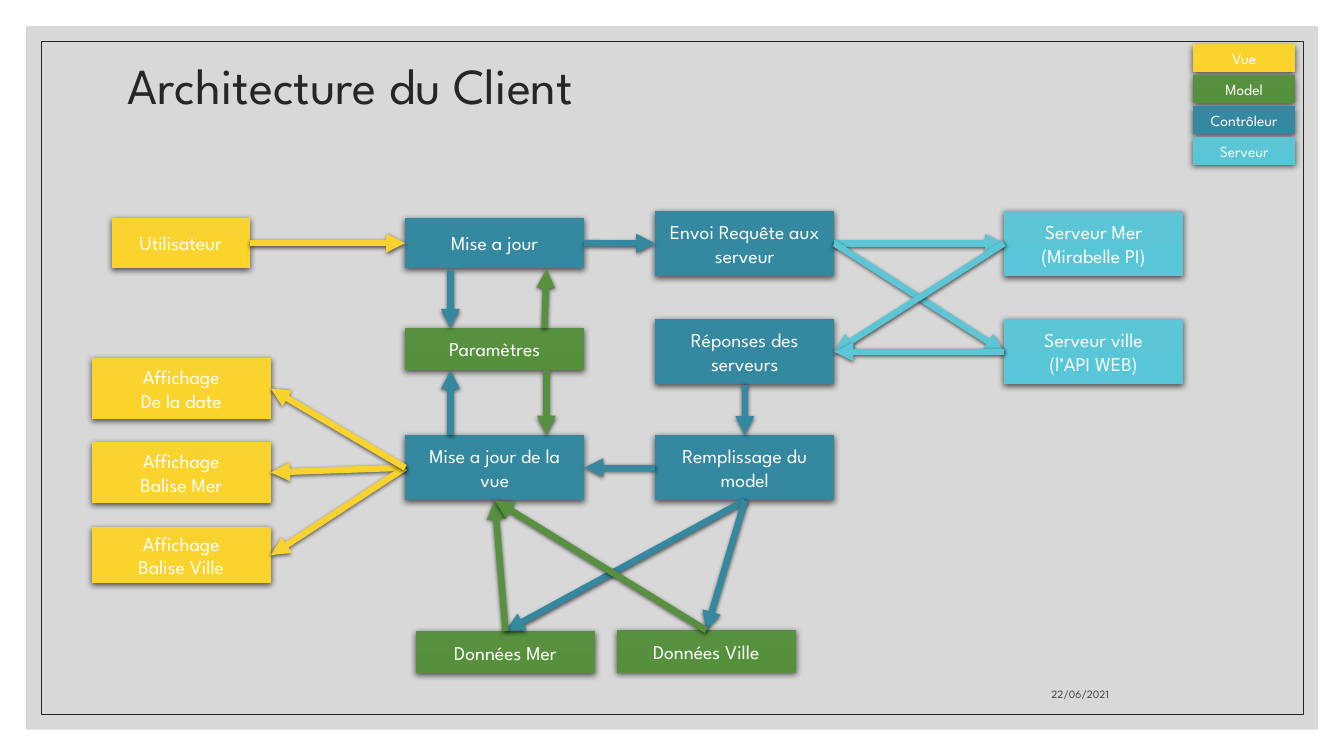
import pptx
import pptx.util
import pptx.dml.color
import pptx.enum.shapes
import pptx.enum.text
import pptx.oxml
import pptx.oxml.ns
from lxml import etree

Cm, Pt = pptx.util.Cm, pptx.util.Pt
RGBColor = pptx.dml.color.RGBColor
MSO_SHAPE = pptx.enum.shapes.MSO_SHAPE
MSO_CONNECTOR = pptx.enum.shapes.MSO_CONNECTOR
MSO_ANCHOR = pptx.enum.text.MSO_ANCHOR
PP_ALIGN = pptx.enum.text.PP_ALIGN
qn = pptx.oxml.ns.qn

FONT = "League Spartan"
WHITE = RGBColor(0xFF, 0xFF, 0xFF)
GREY = RGBColor(0xBF, 0xBF, 0xBF)
INK = RGBColor(0x26, 0x26, 0x26)
DATE_INK = RGBColor(0x40, 0x40, 0x40)
# Each role runs from a top colour to a bottom colour
VUE = (RGBColor(0xF8, 0xD2, 0x2F), RGBColor(0xFB, 0xD3, 0x2A))
MODEL = (RGBColor(0x57, 0x90, 0x3F), RGBColor(0x55, 0x91, 0x3C))
CONTROLEUR = (RGBColor(0x34, 0x88, 0xA0), RGBColor(0x31, 0x88, 0xA1))
SERVEUR = (RGBColor(0x5C, 0xC6, 0xD6), RGBColor(0x58, 0xC6, 0xD7))
TOP, LEFT, BOTTOM, RIGHT = range(4)


def write(sp, text, size, color, align, anchor):
    tf = sp.text_frame
    tf.word_wrap = True
    tf.vertical_anchor = anchor
    tf.text = text
    for p in tf.paragraphs:
        p.alignment = align
        for name, value in {"name": FONT, "size": Pt(size)}.items():
            setattr(p.runs[0].font, name, value)
        p.runs[0].font.color.rgb = color


def add_shadow(sp, blur, distance):
    """Drop a soft black shadow straight below; lengths in points."""
    effects = etree.SubElement(sp.element.spPr, qn("a:effectLst"))
    shadow = etree.SubElement(effects, qn("a:outerShdw"), blurRad=str(Pt(blur)),
                              dist=str(Pt(distance)), dir="5400000",
                              algn="ctr", rotWithShape="0")
    black = etree.SubElement(shadow, qn("a:srgbClr"), val="000000")
    etree.SubElement(black, qn("a:alpha"), val="63000")


prs = pptx.Presentation()
prs.slide_width, prs.slide_height = Cm(33.87), Cm(19.05)
s = prs.slides.add_slide(prs.slide_layouts[5])

# Background panel and frame
panel = s.shapes.add_shape(MSO_SHAPE.RECTANGLE, Cm(0.66), Cm(0.66), Cm(32.56), Cm(17.73))
panel.shadow.inherit = False
panel.fill.solid()
panel.fill.fore_color.rgb = GREY
etree.SubElement(panel.element.spPr.find(".//" + qn("a:srgbClr")), qn("a:alpha"), val="60000")
panel.line.fill.background()
frame = s.shapes.add_shape(MSO_SHAPE.RECTANGLE, Cm(1.04), Cm(1.04), Cm(31.8), Cm(16.97))
frame.shadow.inherit = False
frame.fill.background()
frame.line.color.rgb = INK
frame.line.width = Pt(0.5)

# Title, brought in front of the panel, and date
title = s.shapes.title
s.shapes.element.append(title.element)
title.left, title.top, title.width, title.height = Cm(2.97), Cm(1.5), Cm(27.94), Cm(1.45)
write(title, "Architecture du Client", 36, INK, PP_ALIGN.LEFT, MSO_ANCHOR.MIDDLE)
title.text_frame.paragraphs[0].line_spacing = 0.9
date = s.shapes.add_textbox(Cm(20.17), Cm(16.76), Cm(8.03), Cm(1.02))
write(date, "22/06/2021", 8, DATE_INK, PP_ALIGN.RIGHT, MSO_ANCHOR.BOTTOM)

# Boxes: key, text, role, left, top, width, height (cm), text size
W, LOW, TALL = 4.52, 1.07, 1.65
VIEW_X, UPDATE_X, REQUEST_X, SERVER_X = 2.31, 10.21, 16.51, 25.3
boxes = [
    ("utilisateur", "Utilisateur", VUE, 2.82, 5.49, 3.48, 1.27, 14),
    ("date", "Affichage\nDe la date", VUE, VIEW_X, 9.02, W, 1.55, 14),
    ("balise mer", "Affichage\nBalise Mer", VUE, VIEW_X, 11.13, W, 1.55, 14),
    ("balise ville", "Affichage\nBalise Ville", VUE, VIEW_X, 13.28, W, 1.42, 14),
    ("maj", "Mise a jour", CONTROLEUR, UPDATE_X, 5.49, W, 1.27, 14),
    ("parametres", "Paramètres", MODEL, UPDATE_X, 8.26, W, LOW, 14),
    ("maj vue", "Mise a jour de la vue", CONTROLEUR, UPDATE_X, 10.96, W, TALL, 14),
    ("envoi", "Envoi Requête aux serveur", CONTROLEUR, REQUEST_X, 5.31, W, TALL, 14),
    ("reponses", "Réponses des serveurs", CONTROLEUR, REQUEST_X, 8.04, W, TALL, 14),
    ("remplissage", "Remplissage du model", CONTROLEUR, REQUEST_X, 10.96, W, TALL, 14),
    ("serveur mer", "Serveur Mer (Mirabelle PI)", SERVEUR, SERVER_X, 5.31, W, TALL, 14),
    ("serveur ville", "Serveur ville\n(l’API WEB)", SERVEUR, SERVER_X, 8.04, W, TALL, 14),
    ("donnees mer", "Données Mer", MODEL, 10.48, 15.9, W, LOW, 14),
    ("donnees ville", "Données Ville", MODEL, 15.54, 15.88, W, LOW, 14),
]
legend = [("Vue", VUE), ("Model", MODEL), ("Contrôleur", CONTROLEUR), ("Serveur", SERVEUR)]
for i, (label, role) in enumerate(legend):
    boxes.append((label, label, role, 30.07, 1.12 + 0.78 * i, 2.57, 0.69, 11))

nodes = {}
for key, text, role, x, y, w, h, size in boxes:
    sp = s.shapes.add_shape(MSO_SHAPE.RECTANGLE, Cm(x), Cm(y), Cm(w), Cm(h))
    sp.fill.gradient()
    sp.fill.gradient_angle = 270
    for stop, color in zip(sp.fill.gradient_stops, role):
        stop.color.rgb = color
    sp.line.fill.background()
    add_shadow(sp, 4.5, 1.5)
    write(sp, text, size, WHITE, PP_ALIGN.CENTER, MSO_ANCHOR.MIDDLE)
    nodes[key] = sp

# Arrows glued to the sides of two boxes
links = [
    ("envoi", RIGHT, "serveur mer", LEFT, SERVEUR),
    ("envoi", RIGHT, "serveur ville", LEFT, SERVEUR),
    ("serveur mer", LEFT, "reponses", RIGHT, SERVEUR),
    ("serveur ville", LEFT, "reponses", RIGHT, SERVEUR),
    ("utilisateur", RIGHT, "maj", LEFT, VUE),
    ("maj", RIGHT, "envoi", LEFT, CONTROLEUR),
    ("reponses", BOTTOM, "remplissage", TOP, CONTROLEUR),
    ("remplissage", LEFT, "maj vue", RIGHT, CONTROLEUR),
    ("remplissage", BOTTOM, "donnees mer", TOP, CONTROLEUR),
    ("remplissage", BOTTOM, "donnees ville", TOP, CONTROLEUR),
    ("maj vue", LEFT, "balise mer", RIGHT, VUE),
    ("maj vue", LEFT, "balise ville", RIGHT, VUE),
    ("maj vue", LEFT, "date", RIGHT, VUE),
    ("donnees mer", TOP, "maj vue", BOTTOM, MODEL),
    ("donnees ville", TOP, "maj vue", BOTTOM, MODEL),
]
arrows = []
for start, start_side, end, end_side, role in links:
    c = s.shapes.add_connector(MSO_CONNECTOR.STRAIGHT, 0, 0, 0, 0)
    c.begin_connect(nodes[start], start_side)
    c.end_connect(nodes[end], end_side)
    arrows.append((c, role))

# Arrows above and below Paramètres, off the middle of the boxes
for x1, y1, x2, y2, role in [
    (11.35, 6.81, 11.35, 8.26, CONTROLEUR),
    (13.72, 8.26, 13.77, 6.78, MODEL),
    (11.35, 10.95, 11.35, 9.33, CONTROLEUR),
    (13.77, 9.33, 13.77, 10.95, MODEL),
]:
    c = s.shapes.add_connector(MSO_CONNECTOR.STRAIGHT, Cm(x1), Cm(y1), Cm(x2), Cm(y2))
    arrows.append((c, role))

for c, role in arrows:
    c.line.color.rgb = role[0]
    c.line.width = Pt(4.5)
    etree.SubElement(c.element.spPr.find(qn("a:ln")), qn("a:tailEnd"), type="triangle")
    add_shadow(c, 3, 1)

prs.save("out.pptx")
